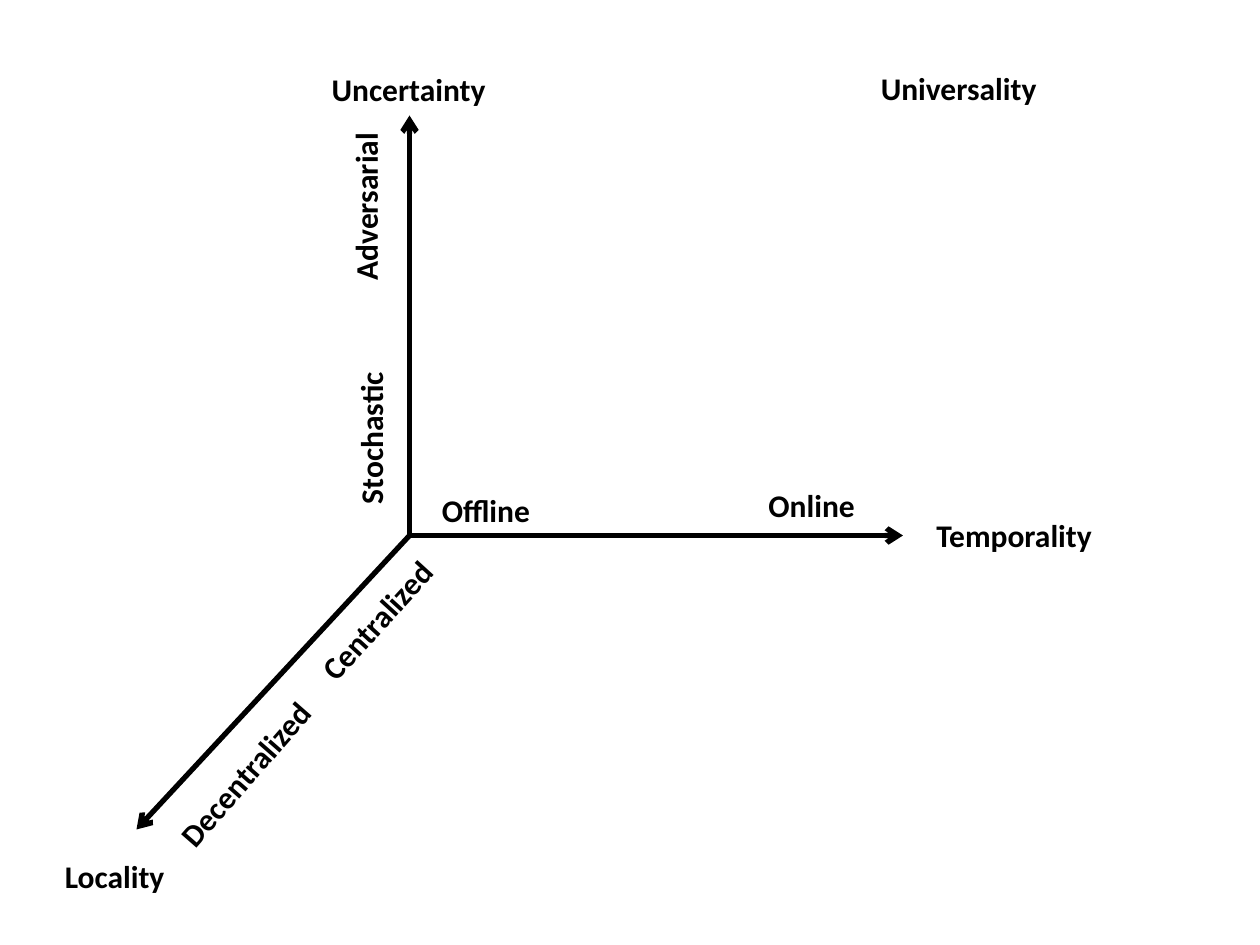
from pptx import Presentation
from pptx.dml.color import RGBColor
from pptx.enum.shapes import MSO_CONNECTOR as Conn
from pptx.enum.text import MSO_AUTO_SIZE as AutoSize
from pptx.oxml.ns import qn
from pptx.util import Inches, Pt
from lxml.etree import SubElement

WIDTH, HEIGHT = 10, 7.5
COLS, ROWS = 120, 90
LINE_H, UPRIGHT_W = 4.8, 6
BLACK = "000000"

ORIGIN = (39, 51)
AXIS_ENDS = [(39, 11), (86, 51), (13, 79)]

# text, column, row, length, format
LABELS = [
    ("Locality", 5, 81, 12, {}),
    ("Temporality", 88, 48.6, 17.3, {}),
    ("Uncertainty", 30.4, 6.1, 17.2, {}),
    ("Offline", 40.9, 46.2, 11, {}),
    ("Online", 72, 45.7, 10.7, {}),
    ("Stochastic", 32.9, 35.3, 13.9, {"upright": True}),
    ("Adversarial", 32.4, 12.5, 15.4, {"upright": True}),
    ("Centralized", 27.7, 56.6, 16.4, {"rotation": 312.4}),
    ("Decentralized", 13.6, 71.2, 19.6, {"rotation": 311.2}),
    ("Universality", 82.7, 6, 17.4, {}),
]


def color(value):
    return RGBColor.from_string(value)


def x(col):
    return Inches(WIDTH * col / COLS)


def y(row):
    return Inches(HEIGHT * row / ROWS)


def add_axis(s, start, end):
    axis = s.shapes.add_connector(Conn.STRAIGHT, x(start[0]), y(start[1]), x(end[0]), y(end[1]))
    axis.line.color.rgb = color(BLACK)
    axis.line.width = Pt(3)
    SubElement(axis.line._get_or_add_ln(), qn("a:tailEnd"), type="arrow")
    SubElement(axis._element.spPr, qn("a:effectLst"))


def add_label(s, text, col, row, length, upright=False, rotation=0,
              size=18, font="Calibri", bold=True, fill=BLACK):
    w, h = (UPRIGHT_W, length) if upright else (length, LINE_H)
    sp = s.shapes.add_textbox(x(col), y(row), x(w), y(h))
    sp.rotation = rotation
    tf = sp.text_frame
    tf.word_wrap = False
    tf.auto_size = AutoSize.SHAPE_TO_FIT_TEXT
    if upright:
        tf._txBody.bodyPr.set("vert", "vert270")
    r = tf.paragraphs[0].add_run()
    r.text = text
    r.font.name, r.font.size, r.font.bold = font, Pt(size), bold
    r.font.color.rgb = color(fill)


def main():
    """Draw three axes from one origin and label them."""
    prs = Presentation()
    prs.slide_width, prs.slide_height = Inches(WIDTH), Inches(HEIGHT)
    s = prs.slides.add_slide(prs.slide_layouts[6])
    for end in AXIS_ENDS:
        add_axis(s, ORIGIN, end)
    for text, col, row, length, style in LABELS:
        add_label(s, text, col, row, length, **style)
    prs.save("out.pptx")


if __name__ == "__main__":
    main()
